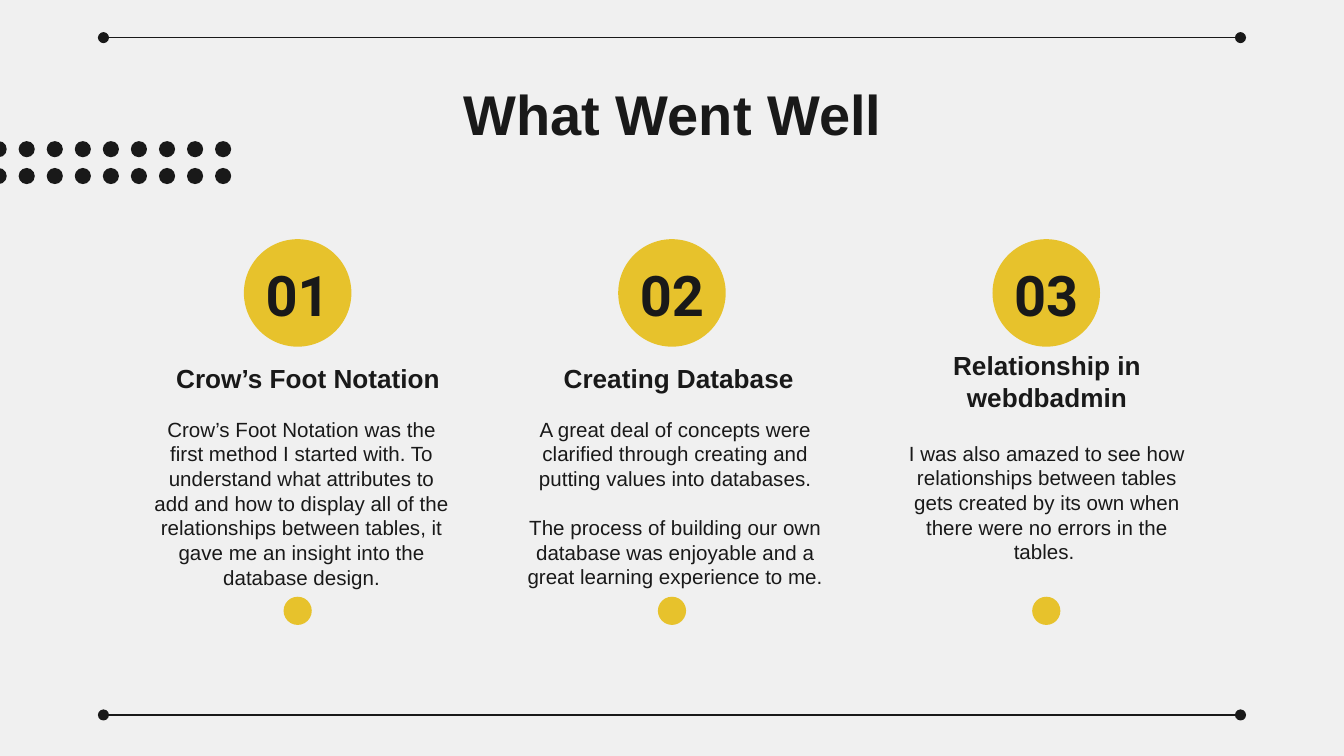
import pptx
import pptx.util
import pptx.dml.color
import pptx.enum.shapes
import pptx.enum.text
import pptx.oxml
import pptx.oxml.ns
from lxml import etree

Inches, Pt = pptx.util.Inches, pptx.util.Pt
RGBColor = pptx.dml.color.RGBColor
ANCHOR = pptx.enum.text.MSO_ANCHOR
qn = pptx.oxml.ns.qn

# Content
TITLE = "What Went Well"
# number, heading, heading (left, top), body paragraphs, body (left, top, width)
COLUMNS = [
    ("01", "Crow’s Foot Notation ", (1.13, 2.45),
     ["Crow’s Foot Notation was the first method I started with. To understand "
      "what attributes to add and how to display all of the relationships "
      "between tables, it gave me an insight into the database design."],
     (1.03, 3, 2.43)),
    ("02", "Creating Database", (3.86, 2.45),
     ["A great deal of concepts were clarified through creating and putting "
      "values into databases.",
      "The process of building our own database was enjoyable and a great "
      "learning experience to me. "],
     (3.81, 3, 2.43)),
    ("03", "Relationship in webdbadmin", (6.6, 2.59),
     ["I was also amazed to see how relationships between tables gets created "
      "by its own when there were no errors in the tables. "],
     (6.6, 3.18, 2.38)),
]

# Style and layout
BACKGROUND = RGBColor(0xF0, 0xF0, 0xF0)
YELLOW = RGBColor(0xE7, 0xC2, 0x2C)
INK = RGBColor(0x19, 0x19, 0x19)
SLIDE_WIDTH = 10
SLIDE_HEIGHT = SLIDE_WIDTH * 9 / 16
MIDDLE, COLUMN_STEP = SLIDE_WIDTH / 2, 2.785
BADGE, MARKER, DOT = 0.8, 0.21, 0.12
DOT_COLUMNS, DOT_FIRST, DOT_LAST = 9, -0.07, 1.6

prs = pptx.Presentation()
prs.slide_width, prs.slide_height = Inches(SLIDE_WIDTH), Inches(SLIDE_HEIGHT)
s = prs.slides.add_slide(prs.slide_layouts[6])
s.background.fill.solid()
s.background.fill.fore_color.rgb = BACKGROUND


def add_circle(left, top, size, color):
    sp = s.shapes.add_shape(pptx.enum.shapes.MSO_SHAPE.OVAL, Inches(left),
                            Inches(top), Inches(size), Inches(size))
    sp.shadow.inherit = False
    sp.fill.solid()
    sp.fill.fore_color.rgb = color
    sp.line.fill.background()


def add_text(paragraphs, left, top, width, height, size, bold=True,
             font="Arial", anchor=ANCHOR.TOP):
    tf = s.shapes.add_textbox(Inches(left), Inches(top), Inches(width),
                              Inches(height)).text_frame
    tf.word_wrap = True
    tf.vertical_anchor = anchor
    tf.margin_left = tf.margin_right = Inches(0.1)
    tf.margin_top = tf.margin_bottom = Inches(0.1)
    for i, text in enumerate(paragraphs):
        p = tf.paragraphs[0] if i == 0 else tf.add_paragraph()
        p.alignment = pptx.enum.text.PP_ALIGN.CENTER
        if i:
            p.space_before = Pt(13)
        r = p.add_run()
        r.text = text
        r.font.name, r.font.size, r.font.bold = font, Pt(size), bold
        r.font.color.rgb = INK


def add_rule(y):
    line = s.shapes.add_connector(pptx.enum.shapes.MSO_CONNECTOR.STRAIGHT,
                                  Inches(0.77), Inches(y), Inches(9.23), Inches(y))
    line.line.color.rgb = INK
    line.line.width = Pt(0.75)
    ln = line.line._get_or_add_ln()
    for end in ("a:headEnd", "a:tailEnd"):
        etree.SubElement(ln, qn(end), type="oval", w="med", len="med")
    etree.SubElement(ln.getparent(), qn("a:effectLst"))


# Title
add_text([TITLE], 0.79, 0.49, 8.43, 0.63, 30)

# Numbered columns
for i, (number, heading, heading_at, body, body_at) in enumerate(COLUMNS):
    center = MIDDLE + (i - 1) * COLUMN_STEP
    badge_left = center - BADGE / 2
    add_circle(badge_left, 1.78, BADGE, YELLOW)
    add_text([number], badge_left, 1.94, BADGE, 0.49, 30,
             font="Roboto", anchor=ANCHOR.MIDDLE)
    add_text([heading], *heading_at, 2.38, 0.58, 14, anchor=ANCHOR.BOTTOM)
    add_text(body, *body_at, 1.36, 11, bold=False)
    add_circle(center - MARKER / 2, 4.44, MARKER, YELLOW)

# Rules at top and bottom
for y in (0.28, 5.32):
    add_rule(y)

# Dot grid at the left edge
dot_step = (DOT_LAST - DOT_FIRST) / (DOT_COLUMNS - 1)
for column in range(DOT_COLUMNS):
    for top in (1.05, 1.25):
        add_circle(DOT_FIRST + column * dot_step, top, DOT, INK)

prs.save("out.pptx")
